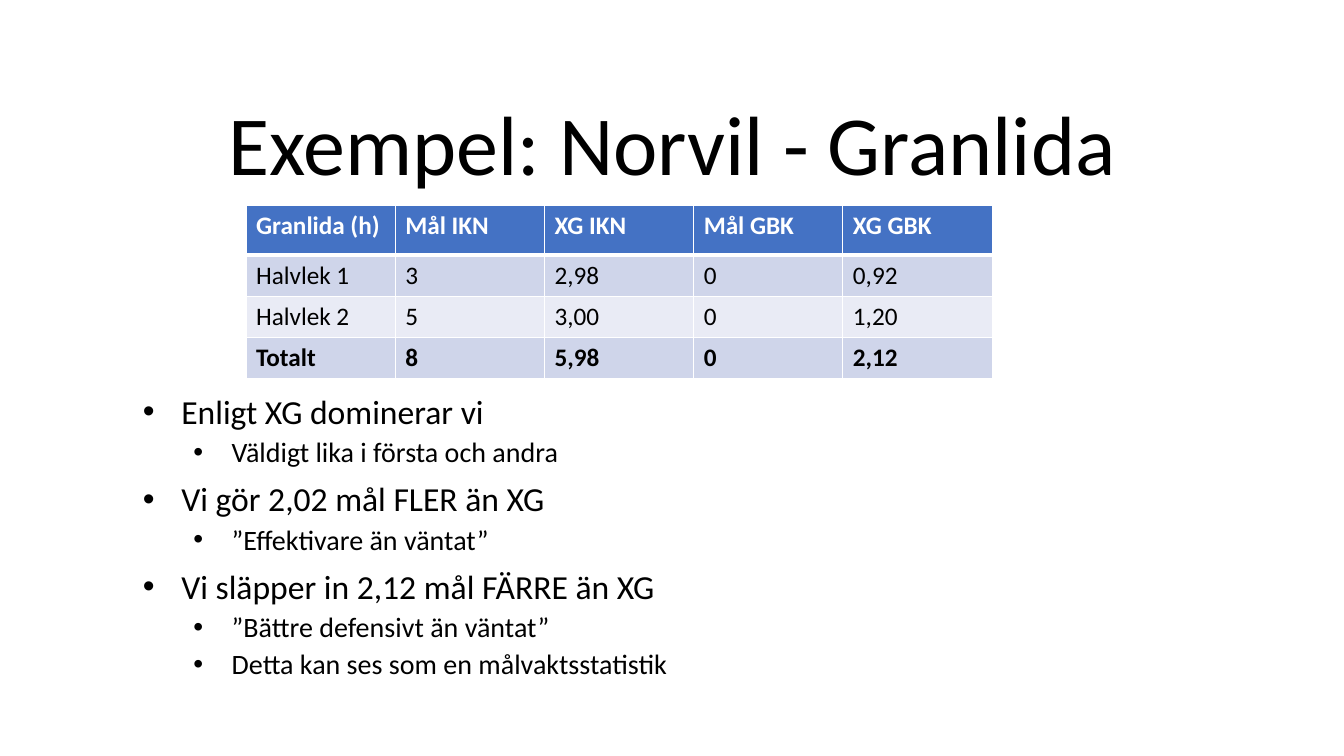
import pptx
import pptx.util
import pptx.dml.color
import pptx.enum.text
import pptx.oxml.ns
import lxml.etree

Inches, Pt = pptx.util.Inches, pptx.util.Pt
RGBColor = pptx.dml.color.RGBColor
qn = pptx.oxml.ns.qn

BLACK = RGBColor(0x00, 0x00, 0x00)
WHITE = RGBColor(0xFF, 0xFF, 0xFF)
HEADER_BLUE = RGBColor(0x44, 0x72, 0xC4)
BAND_DARK = RGBColor(0xCF, 0xD5, 0xEA)
BAND_LIGHT = RGBColor(0xE9, 0xEB, 0xF5)


def format_text(paragraph, size, color=BLACK, bold=False):
    for run in paragraph.runs:
        run.font.name = "Calibri"
        run.font.size = Pt(size)
        run.font.bold = bold
        run.font.color.rgb = color


def add_border(cell, position, side, width):
    line = lxml.etree.Element(qn("a:ln" + side), w=str(Pt(width)))
    fill = lxml.etree.SubElement(line, qn("a:solidFill"))
    lxml.etree.SubElement(fill, qn("a:srgbClr"), val=str(WHITE))
    cell._tc.get_or_add_tcPr().insert(position, line)


presentation = pptx.Presentation()
presentation.slide_width = Inches(13.33)
presentation.slide_height = Inches(7.5)
slide = presentation.slides.add_slide(presentation.slide_layouts[6])

# Title
title = slide.shapes.add_textbox(Inches(1.67), Inches(0.44), Inches(10), Inches(1.53)).text_frame
title.word_wrap = True
title.vertical_anchor = pptx.enum.text.MSO_ANCHOR.BOTTOM
heading = title.paragraphs[0]
heading.text = "Exempel: Norvil - Granlida"
heading.alignment = pptx.enum.text.PP_ALIGN.CENTER
heading.line_spacing = 0.9
format_text(heading, 60)

# Conclusions
conclusions = [
    (0, "Enligt XG dominerar vi"),
    (1, "Väldigt lika i första och andra"),
    (0, "Vi gör 2,02 mål FLER än XG"),
    (1, "”Effektivare än väntat”"),
    (0, "Vi släpper in 2,12 mål FÄRRE än XG"),
    (1, "”Bättre defensivt än väntat”"),
    (1, "Detta kan ses som en målvaktsstatistik"),
]
body = slide.shapes.add_textbox(Inches(1.32), Inches(3.87), Inches(10.34), Inches(3.19)).text_frame
body.word_wrap = True
for index, (level, conclusion) in enumerate(conclusions):
    paragraph = body.add_paragraph() if index else body.paragraphs[0]
    paragraph.text = conclusion
    paragraph.level = level
    paragraph.line_spacing = 0.9
    paragraph.space_before = Pt(5 if level else 10)
    format_text(paragraph, 20 if level else 24)
    properties = paragraph._p.get_or_add_pPr()
    properties.set("marL", str(Inches(0.38 + 0.5 * level)))
    properties.set("indent", str(Inches(-0.38)))
    lxml.etree.SubElement(properties, qn("a:buFont"), typeface="Arial")
    lxml.etree.SubElement(properties, qn("a:buChar"), char="•")

# Goals and expected goals per half
results = [
    ["Granlida (h)", "Mål IKN", "XG IKN", "Mål GBK", "XG GBK"],
    ["Halvlek 1", "3", "2,98", "0", "0,92"],
    ["Halvlek 2", "5", "3,00", "0", "1,20"],
    ["Totalt", "8", "5,98", "0", "2,12"],
]
row_fills = [HEADER_BLUE, BAND_DARK, BAND_LIGHT, BAND_DARK]
table = slide.shapes.add_table(
    len(results), len(results[0]), Inches(2.44), Inches(2.04), Inches(7.41), Inches(1.71)
).table
for column in table.columns:
    column.width = Inches(1.48)
for r, values in enumerate(results):
    table.rows[r].height = Inches(0.41 if r else 0.49)
    for c, value in enumerate(values):
        cell = table.cell(r, c)
        cell.text = value
        format_text(cell.text_frame.paragraphs[0], 18,
                    color=BLACK if r else WHITE, bold=r in (0, 3))
        cell.fill.solid()
        cell.fill.fore_color.rgb = row_fills[r]
        # The rule between header and body is thicker
        widths = {"L": 1, "R": 1, "T": 3 if r == 1 else 1, "B": 3 if r == 0 else 1}
        for position, (side, width) in enumerate(widths.items()):
            add_border(cell, position, side, width)

presentation.save("out.pptx")
